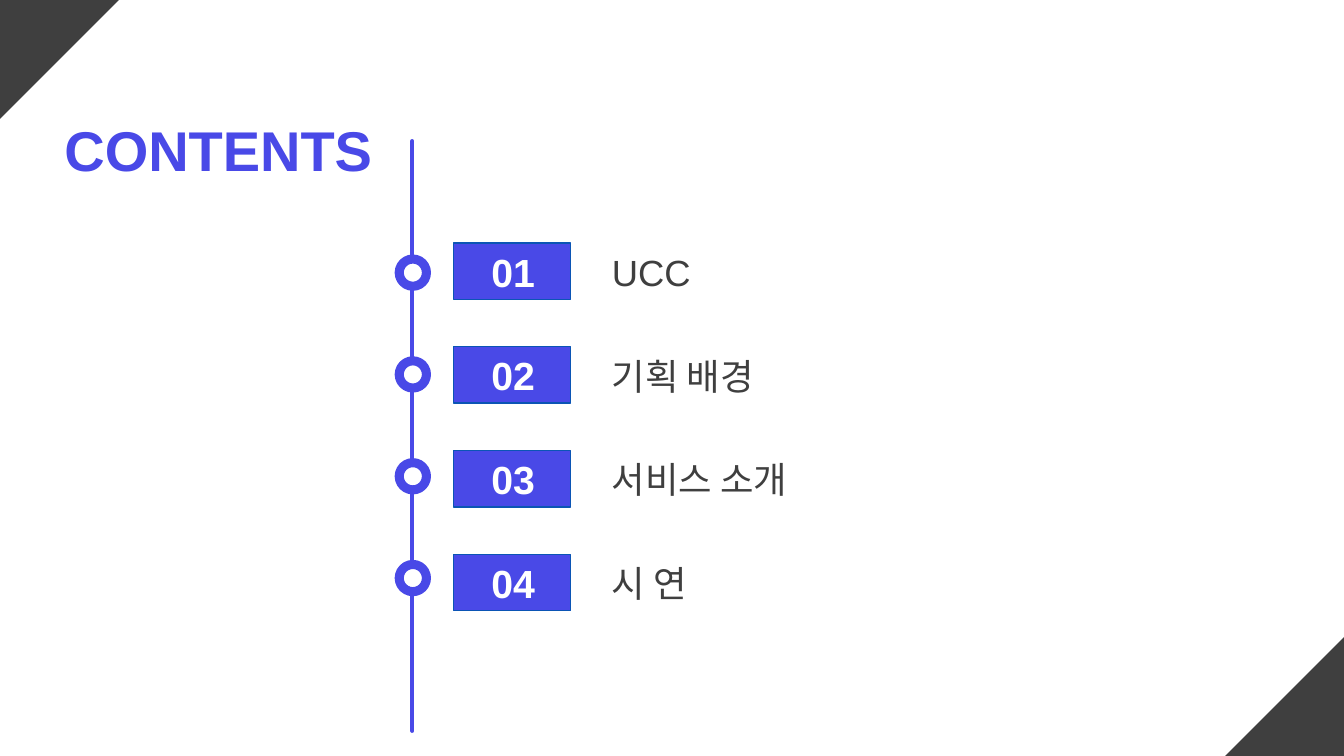
"""Build a contents slide: four numbered topics along a vertical line."""
import dataclasses
import typing

import lxml.etree
import pptx
import pptx.dml.color
import pptx.enum.shapes
import pptx.enum.text
import pptx.oxml.ns
import pptx.util

Inches = pptx.util.Inches
Pt = pptx.util.Pt
Color = pptx.dml.color.RGBColor
Shape = pptx.enum.shapes.MSO_SHAPE
Align = pptx.enum.text.PP_ALIGN
qn = pptx.oxml.ns.qn


@dataclasses.dataclass(frozen=True)
class Theme:
    font: str = "Arial"
    main: Color = Color.from_string("4949E7")
    edge: Color = Color.from_string("0B55B5")
    dark: Color = Color.from_string("3F3F3F")
    white: Color = Color.from_string("FFFFFF")
    title: float = 40
    number: float = 28
    label: float = 26


@dataclasses.dataclass(frozen=True)
class Area:
    left: float
    top: float
    width: float
    height: float

    def down(self, gap: float) -> "Area":
        return dataclasses.replace(self, top=self.top + gap)

    def sizes(self) -> list[int]:
        return [Inches(n) for n in dataclasses.astuple(self)]


@dataclasses.dataclass(frozen=True)
class Style:
    size: float
    color: Color
    bold: bool = False
    align: typing.Optional[Align] = None


@dataclasses.dataclass(frozen=True)
class Topic:
    number: str
    label: str
    width: float = 2.68


THEME = Theme()
TITLE = Style(THEME.title, THEME.main, True)
NUMBER = Style(THEME.number, THEME.white, True, Align.CENTER)
LABEL = Style(THEME.label, THEME.dark, align=Align.JUSTIFY)
TOPICS = [
    Topic("01", "UCC", 2.95),
    Topic("02", "기획 배경"),
    Topic("03", "서비스 소개"),
    Topic("04", "시 연"),
]
WIDTH, HEIGHT = 13.33, 7.5
CORNER = 1.18
AXIS = 4.09
STEP, DOT_STEP = 1.03, 1.01


def add_shape(slide, kind: Shape, area: Area, fill: Color,
              line: typing.Optional[Color] = None, weight: float = 0):
    shape = slide.shapes.add_shape(kind, *area.sizes())
    shape.shadow.inherit = False
    shape.fill.solid()
    shape.fill.fore_color.rgb = fill
    if line is None:
        shape.line.fill.background()
    else:
        shape.line.color.rgb = line
        shape.line.width = Pt(weight)
    return shape


def add_text(slide, area: Area, text: str, style: Style) -> None:
    frame = slide.shapes.add_textbox(*area.sizes()).text_frame
    frame.word_wrap = True
    frame.auto_size = pptx.enum.text.MSO_AUTO_SIZE.SHAPE_TO_FIT_TEXT
    para = frame.paragraphs[0]
    para.alignment = style.align
    run = para.add_run()
    run.text = text
    run.font.name = THEME.font
    run.font.size = Pt(style.size)
    run.font.bold = style.bold
    run.font.color.rgb = style.color


def add_corner(slide, left: float, top: float, turn: float) -> None:
    area = Area(left, top, CORNER, CORNER)
    shape = add_shape(slide, Shape.ISOSCELES_TRIANGLE, area, THEME.dark)
    shape.adjustments[0] = 0
    shape.rotation = turn


def add_axis(slide) -> None:
    axis = slide.shapes.add_connector(
        pptx.enum.shapes.MSO_CONNECTOR.STRAIGHT,
        Inches(AXIS), Inches(1.4), Inches(AXIS), Inches(7.25))
    axis.line.color.rgb = THEME.main
    axis.line.width = Pt(3)
    props = axis._element.spPr
    props.find(qn("a:ln")).set("cap", "rnd")
    lxml.etree.SubElement(props, qn("a:effectLst"))


def add_topic(slide, row: int, topic: Topic) -> None:
    gap = row * STEP
    dot = Area(3.96, 2.57, 0.27, 0.27).down(row * DOT_STEP)
    box = Area(4.5, 2.41, 1.16, 0.56).down(gap)
    add_shape(slide, Shape.OVAL, dot, THEME.white, THEME.main, 6.5)
    add_shape(slide, Shape.RECTANGLE, box, THEME.main, THEME.edge, 1)
    add_text(slide, Area(4.6, 2.41, 0.98, 0.57).down(gap),
             topic.number, NUMBER)
    add_text(slide, Area(5.97, 2.43, topic.width, 0.54).down(gap),
             topic.label, LABEL)


def main() -> None:
    deck = pptx.Presentation()
    deck.slide_width = Inches(WIDTH)
    deck.slide_height = Inches(HEIGHT)
    slide = deck.slides.add_slide(deck.slide_layouts[6])
    add_corner(slide, 0, 0, 90)
    add_corner(slide, WIDTH - CORNER, HEIGHT - CORNER, 270)
    add_axis(slide)
    add_text(slide, Area(0.54, 1.1, 3.31, 0.77), "CONTENTS", TITLE)
    for row, topic in enumerate(TOPICS):
        add_topic(slide, row, topic)
    deck.save("out.pptx")


if __name__ == "__main__":
    main()
